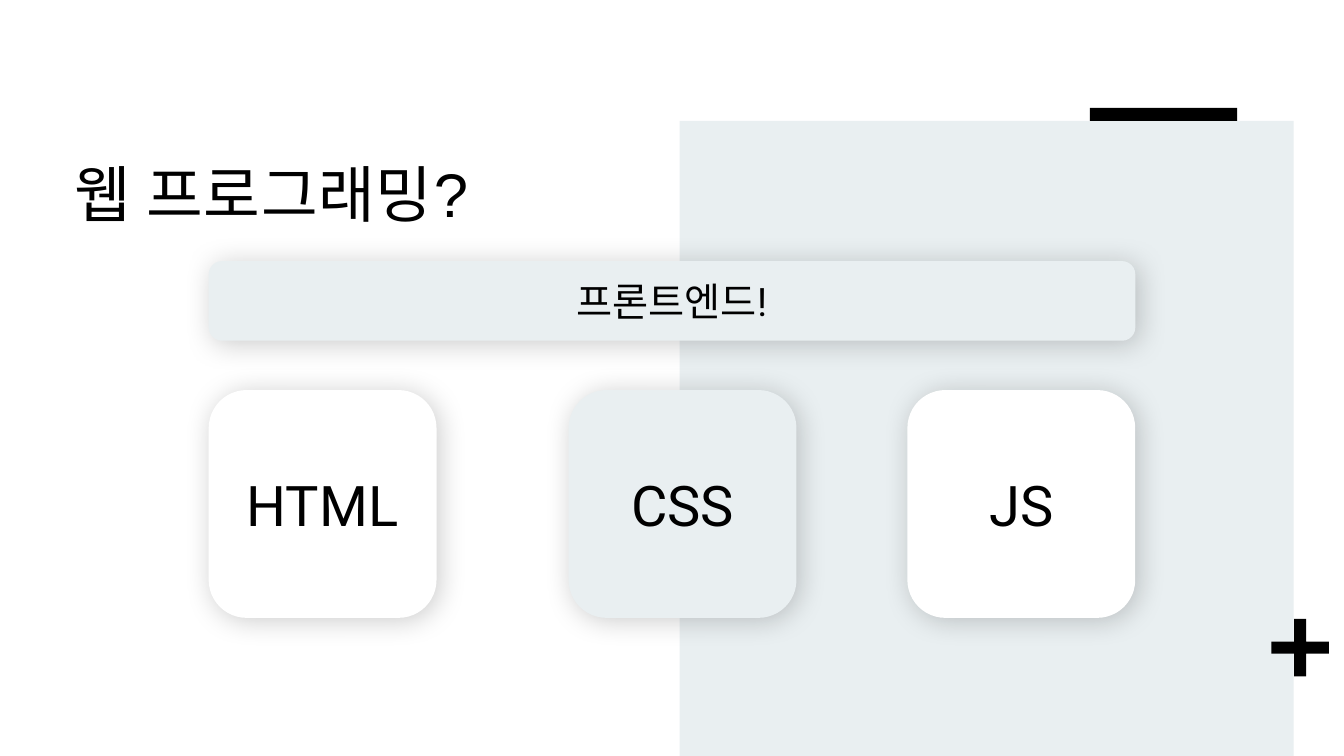
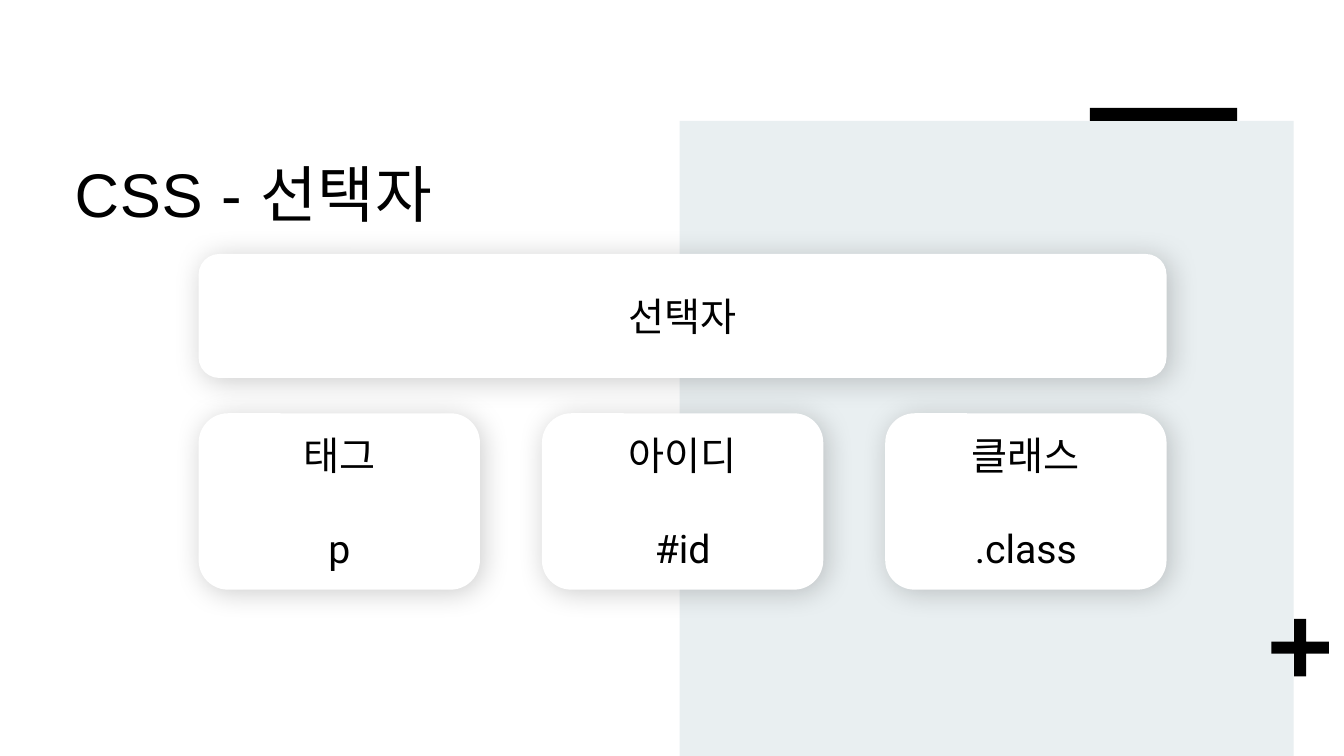
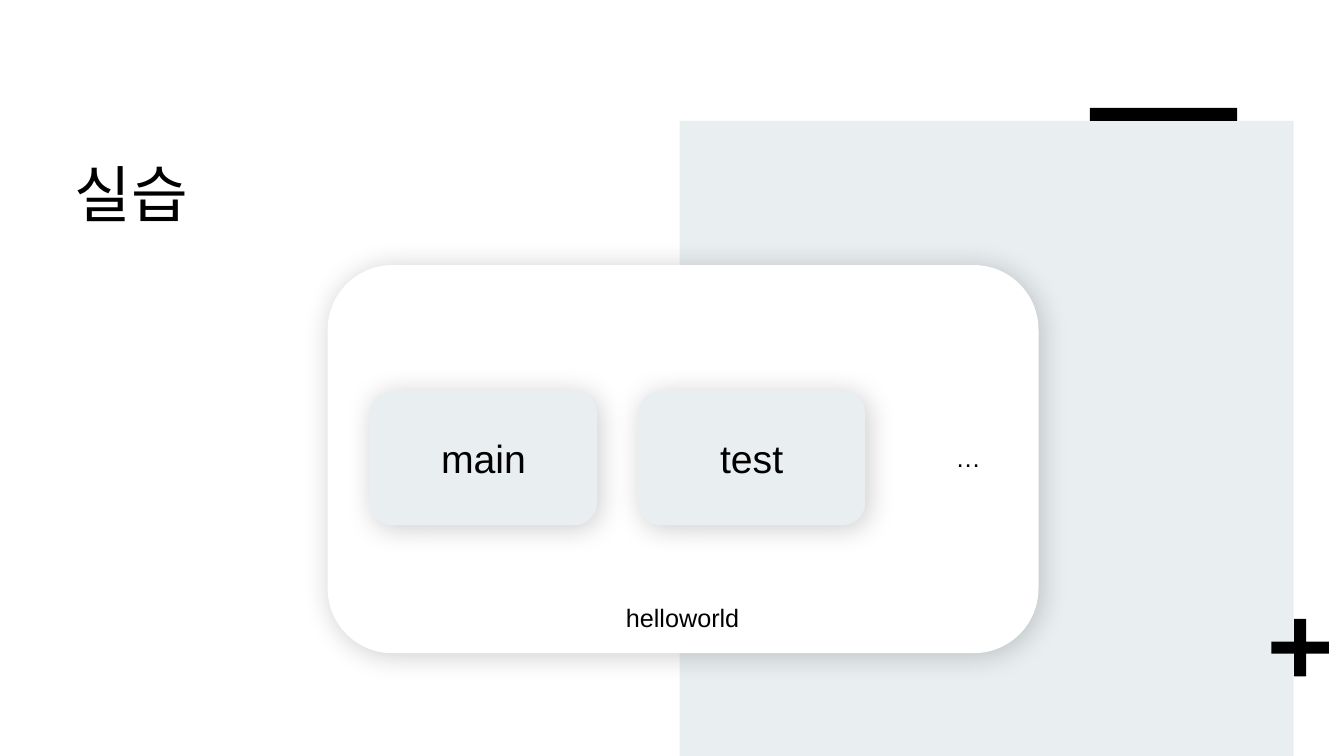
from lxml import etree
from pptx import Presentation
from pptx.dml.color import RGBColor
from pptx.enum.shapes import MSO_SHAPE as SHAPE
from pptx.enum.text import MSO_ANCHOR as ANCHOR, MSO_AUTO_SIZE as FIT, PP_ALIGN as ALIGN
from pptx.oxml.ns import qn
from pptx.util import Inches, Pt

COLORS = {"ink": "000000", "paper": "FFFFFF", "mist": "E9EFF1"}
TITLE_ONLY = 5


def rgb(name):
    return RGBColor.from_string(COLORS[name])


class Deck:
    def __init__(self):
        self.prs = Presentation()
        self.prs.slide_width, self.prs.slide_height = Inches(13.33), Inches(7.5)
        self.layout = self.prs.slide_layouts[TITLE_ONLY]
        self.slide = None

    def decorate_layout(self):
        """Move the shared panel, plus sign and bar from the first slide to its layout."""
        for ph in list(self.layout.placeholders):
            if ph.placeholder_format.idx:
                ph._element.getparent().remove(ph._element)
        panel = self.shape(SHAPE.RECTANGLE, 6.74, 1.2, 6.09, 6.3, "mist")
        plus = self.shape(SHAPE.CROSS, 12.61, 6.14, 0.57, 0.57, "ink")
        plus.adjustments[0] = 0.395
        bar = self.shape(SHAPE.RECTANGLE, 10.81, 1.07, 1.46, 0.13, "ink")
        for sp in (panel, plus, bar):
            self.layout.shapes._spTree.append(sp._element)

    def add_slide(self, title):
        first = self.slide is None
        self.slide = self.prs.slides.add_slide(self.layout)
        if first:
            self.decorate_layout()
        sp = self.slide.shapes.title
        sp.left, sp.top, sp.width, sp.height = map(Inches, (0.62, 1.32, 9.04, 1.58))
        tf = sp.text_frame
        tf.margin_left = tf.margin_top = tf.margin_right = Inches(0.12)
        tf.margin_bottom = Inches(0.1)
        tf.vertical_anchor, tf.auto_size, tf.word_wrap = ANCHOR.TOP, FIT.NONE, True
        p = tf.paragraphs[0]
        p.line_spacing = 1.14
        r = self.add_text(p, title, 44, "Arial", ALIGN.LEFT)
        r._r.get_or_add_rPr().set("spc", "50")

    def add_text(self, p, text, size, font, align=ALIGN.CENTER):
        p.alignment = align
        r = p.add_run()
        r.text = text
        r.font.size, r.font.name = Pt(size), font
        r.font.color.rgb = rgb("ink")
        return r

    def shape(self, kind, left, top, width, height, fill):
        sp = self.slide.shapes.add_shape(kind, *map(Inches, (left, top, width, height)))
        sp.shadow.inherit = False
        sp.fill.solid()
        sp.fill.fore_color.rgb = rgb(fill)
        sp.line.fill.background()
        return sp

    def card(self, left, top, width, height, fill="paper", lines=(), size=28,
             font="Roboto", gap=0):
        """Rounded box with a soft shadow; gap is the space between its lines in points."""
        sp = self.shape(SHAPE.ROUNDED_RECTANGLE, left, top, width, height, fill)
        self.soft_shadow(sp)
        tf = sp.text_frame
        tf.word_wrap, tf.vertical_anchor = True, ANCHOR.MIDDLE
        for i, line in enumerate(lines):
            p = tf.add_paragraph() if i else tf.paragraphs[0]
            if i:
                p.space_before = Pt(gap)
            self.add_text(p, line, size, font)

    def soft_shadow(self, sp):
        effects = sp._element.spPr.find(qn("a:effectLst"))
        shadow = etree.SubElement(effects, qn("a:outerShdw"), blurRad=str(Pt(20)),
                                  dist=str(Pt(3)), dir=str(45 * 60000),
                                  algn="tl", rotWithShape="0")
        color = etree.SubElement(shadow, qn("a:srgbClr"), val=COLORS["ink"])
        etree.SubElement(color, qn("a:alpha"), val="20000")

    def label(self, left, top, width, height, text, align):
        sp = self.slide.shapes.add_textbox(*map(Inches, (left, top, width, height)))
        tf = sp.text_frame
        tf.word_wrap, tf.auto_size = False, FIT.SHAPE_TO_FIT_TEXT
        self.add_text(tf.paragraphs[0], text, 18, "Arial", align)


def web_slide(deck):
    deck.add_slide("웹 프로그래밍?")
    deck.card(2.07, 2.59, 9.19, 0.79, "mist", ["프론트엔드!"])
    for left, fill, name in ((2.07, "paper", "HTML"), (5.64, "mist", "CSS"),
                             (9, "paper", "JS")):
        deck.card(left, 3.87, 2.26, 2.26, fill, [name], size=40)


def selector_slide(deck):
    deck.add_slide("CSS - 선택자")
    left, total, width = 1.97, 9.6, 2.79
    deck.card(left, 2.52, total, 1.23, lines=["선택자"])
    selectors = (("태그", "p"), ("아이디", "#id"), ("클래스", ".class"))
    step = (total - width) / (len(selectors) - 1)
    for i, lines in enumerate(selectors):
        deck.card(left + i * step, 4.1, width, 1.75, lines=lines, gap=33)


def practice_slide(deck):
    deck.add_slide("실습")
    deck.card(3.25, 2.63, 7.05, 3.85)
    for i, name in enumerate(("main", "test")):
        deck.card(3.67 + i * 2.66, 3.88, 2.25, 1.33, "mist", [name], font="Arial")
    deck.label(9.38, 4.34, 0.42, 0.4, "…", ALIGN.LEFT)
    deck.label(6.04, 5.93, 1.46, 0.4, "helloworld", ALIGN.CENTER)


def main():
    deck = Deck()
    for build in (web_slide, selector_slide, practice_slide):
        build(deck)
    deck.prs.save("out.pptx")


if __name__ == "__main__":
    main()
